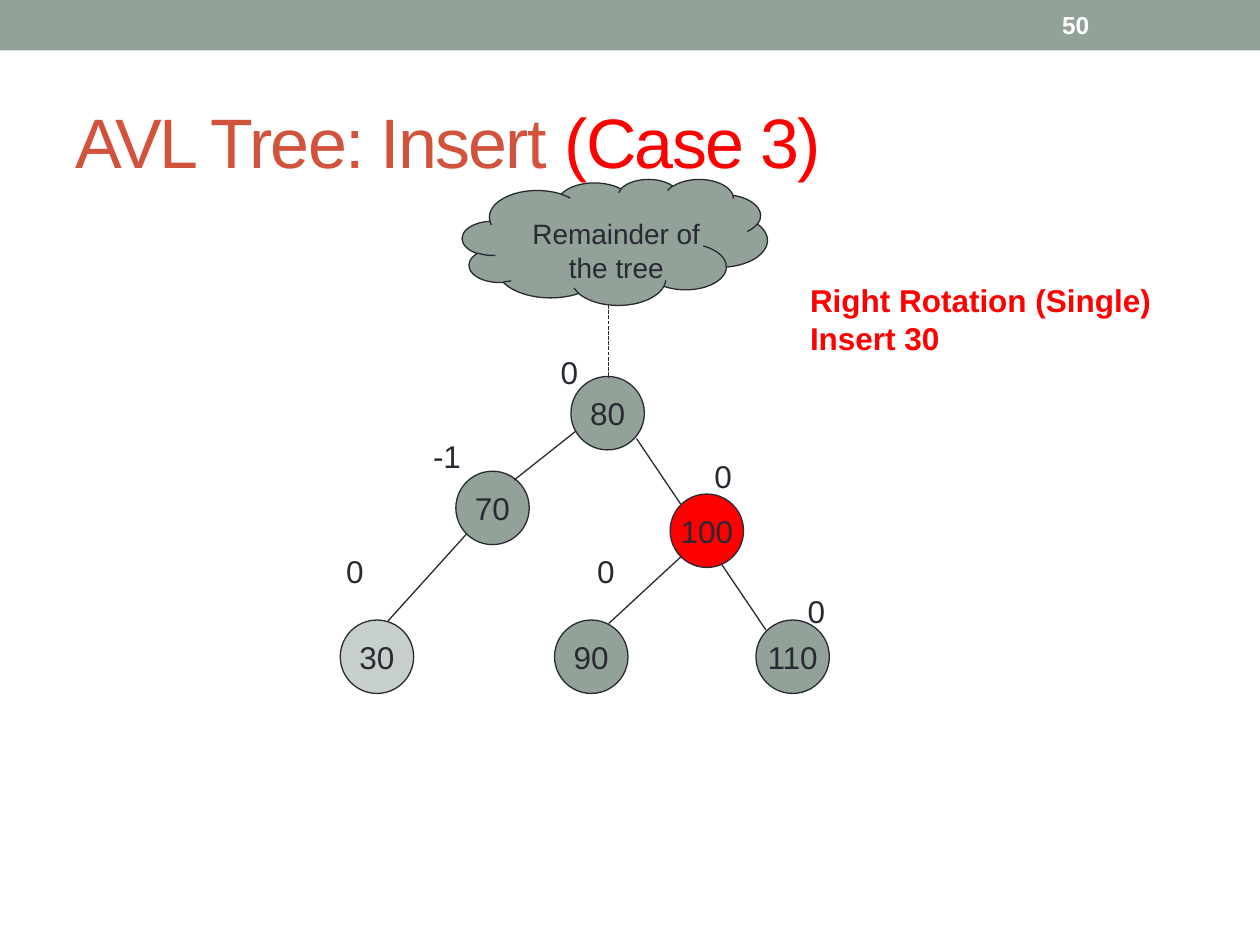
from lxml import etree
from pptx import Presentation
from pptx.dml.color import RGBColor
from pptx.enum.dml import MSO_LINE
from pptx.enum.shapes import MSO_CONNECTOR, MSO_SHAPE
from pptx.enum.text import MSO_ANCHOR, PP_ALIGN
from pptx.oxml.ns import qn
from pptx.util import Cm, Pt

CENTER, LEFT = PP_ALIGN.CENTER, PP_ALIGN.LEFT
MIDDLE, TOP = MSO_ANCHOR.MIDDLE, MSO_ANCHOR.TOP
DASH = MSO_LINE.SQUARE_DOT
STRAIGHT = MSO_CONNECTOR.STRAIGHT
RECT, OVAL, CLOUD = MSO_SHAPE.RECTANGLE, MSO_SHAPE.OVAL, MSO_SHAPE.CLOUD

THEME = {
    "font": "Arial",
    "sage": "93A299", "ink": "292934", "red": "FF0000",
    "rust": "D2533C", "white": "FFFFFF",
    "title": 40, "body": 18, "small": 16, "page": 14, "line": 0.75,
}

# All lengths are in centimetres.
WIDTH, HEIGHT = 25.4, 19.05
BAR = (0, 0, WIDTH, 1.02)
PAGE = ("50", (21.16, 0.05, 2.97, 0.91))
TITLE = ([("AVL Tree: Insert ", "rust"), ("(Case 3)", "red")],
         (1.27, 1.47, 22.86, 2.74))
NOTE = (["Right Rotation (Single)", "Insert 30"], (16.08, 5.54, 7.47, 1.8))
REST = (["Remainder of", "the tree"], (10.24, 4.24, 4.37, 1.63))
PUFF = (9.32, 3.61, 6.15, 2.54)
SIZE = 1.48  # node diameter

# key, left, top, fill, opacity in percent
NODES = [
    ("80", 11.51, 7.59, "sage", 100),
    ("70", 9.19, 9.5, "sage", 100),
    ("100", 13.51, 9.96, "red", 100),
    ("30", 6.86, 12.5, "sage", 51),
    ("90", 11.18, 12.5, "sage", 100),
    ("110", 15.24, 12.5, "sage", 100),
]
# start x, start y, end x, end y, dash
EDGES = [
    (12.27, 6.15, 12.27, 7.62, DASH),    # remainder to 80
    (11.61, 8.69, 10.36, 9.68, None),    # 80 to 70
    (12.83, 8.84, 13.72, 10.16, None),   # 80 to 100
    (9.4, 10.77, 7.82, 12.52, None),     # 70 to 30
    (13.72, 11.23, 12.27, 12.57, None),  # 100 to 90
    (14.55, 11.38, 15.44, 12.7, None),   # 100 to 110
]
# balance factor, box
FACTORS = [
    ("0", (11.05, 6.99, 0.91, 1.02)),
    ("-1", (8.48, 8.69, 1.3, 1.02)),
    ("0", (14.15, 9.09, 0.86, 1.09)),
    ("0", (6.73, 11, 0.86, 1.09)),
    ("0", (11.79, 11, 0.86, 1.09)),
    ("0", (16.03, 11.81, 0.86, 1.09)),
]


def color(name):
    return RGBColor.from_string(THEME[name])


def style(para, size, tint, bold=False, align=LEFT):
    para.alignment = align
    font = para.font
    font.name, font.size, font.bold = THEME["font"], Pt(THEME[size]), bold
    font.color.rgb = color(tint)


def write(frame, lines, size="body", tint="ink", bold=False,
          align=LEFT, anchor=TOP, wrap=False):
    frame.word_wrap, frame.vertical_anchor = wrap, anchor
    frame.text = "\n".join(lines)
    for para in frame.paragraphs:
        style(para, size, tint, bold, align)


def label(slide, lines, box, **look):
    write(slide.shapes.add_textbox(*map(Cm, box)).text_frame, lines, **look)


def shape(slide, kind, box, fill, edge=True):
    item = slide.shapes.add_shape(kind, *map(Cm, box))
    item.shadow.inherit = False
    item.fill.solid()
    item.fill.fore_color.rgb = color(fill)
    if edge:
        item.line.color.rgb = color("ink")
        item.line.width = Pt(THEME["line"])
    else:
        item.line.fill.background()
    return item


def fade(item, percent):
    """Set the opacity of a solid fill."""
    tone = item.fill._xPr.find(qn("a:solidFill"))[0]
    etree.SubElement(tone, qn("a:alpha")).set("val", str(percent * 1000))


def node(slide, key, left, top, fill, percent):
    item = shape(slide, OVAL, (left, top, SIZE, SIZE), fill)
    if percent < 100:
        fade(item, percent)
    write(item.text_frame, [key], align=CENTER, anchor=MIDDLE)


def link(slide, ends, dash):
    wire = slide.shapes.add_connector(STRAIGHT, *map(Cm, ends))
    wire.line.color.rgb = color("ink")
    wire.line.width = Pt(THEME["line"])
    if dash:
        wire.line.dash_style = dash
    etree.SubElement(wire._element.spPr, qn("a:effectLst"))


def title(slide, parts, box):
    frame = slide.shapes.add_textbox(*map(Cm, box)).text_frame
    frame.word_wrap, frame.vertical_anchor = True, MIDDLE
    para = frame.paragraphs[0]
    style(para, "title", parts[0][1])
    for text, tint in parts:
        run = para.add_run()
        run.text = text
        run.font.color.rgb = color(tint)
        run._r.get_or_add_rPr().set("spc", "-100")


def main():
    deck = Presentation()
    deck.slide_width, deck.slide_height = Cm(WIDTH), Cm(HEIGHT)
    slide = deck.slides.add_slide(deck.slide_layouts[6])
    shape(slide, RECT, BAR, "sage", edge=False)
    label(slide, *NOTE, tint="red", bold=True)
    shape(slide, CLOUD, PUFF, "sage")
    title(slide, *TITLE)
    number, box = PAGE
    label(slide, [number], box, size="page", tint="white", bold=True,
          anchor=MIDDLE, wrap=True)
    label(slide, *REST, size="small", align=CENTER, wrap=True)
    for item in NODES:
        node(slide, *item)
    for *ends, dash in EDGES:
        link(slide, ends, dash)
    for factor, box in FACTORS:
        label(slide, [factor], box)
    deck.save("out.pptx")


if __name__ == "__main__":
    main()
